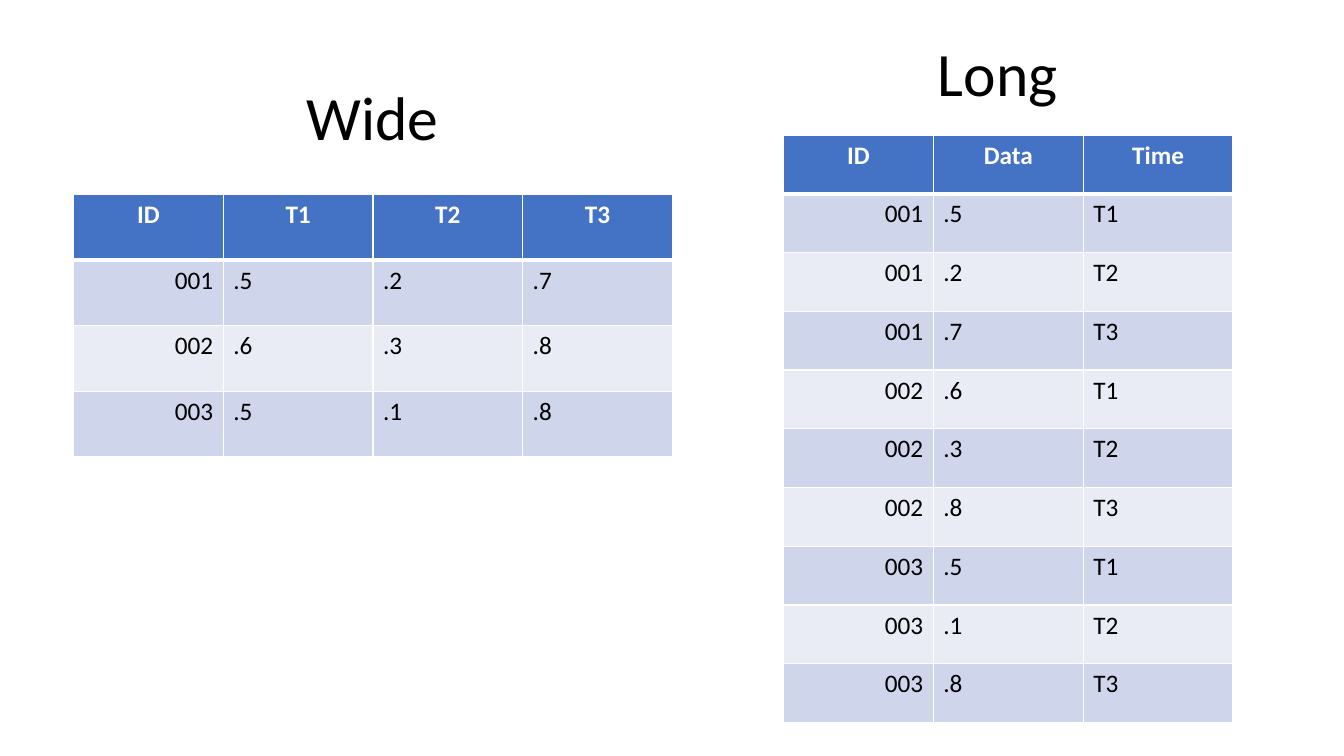
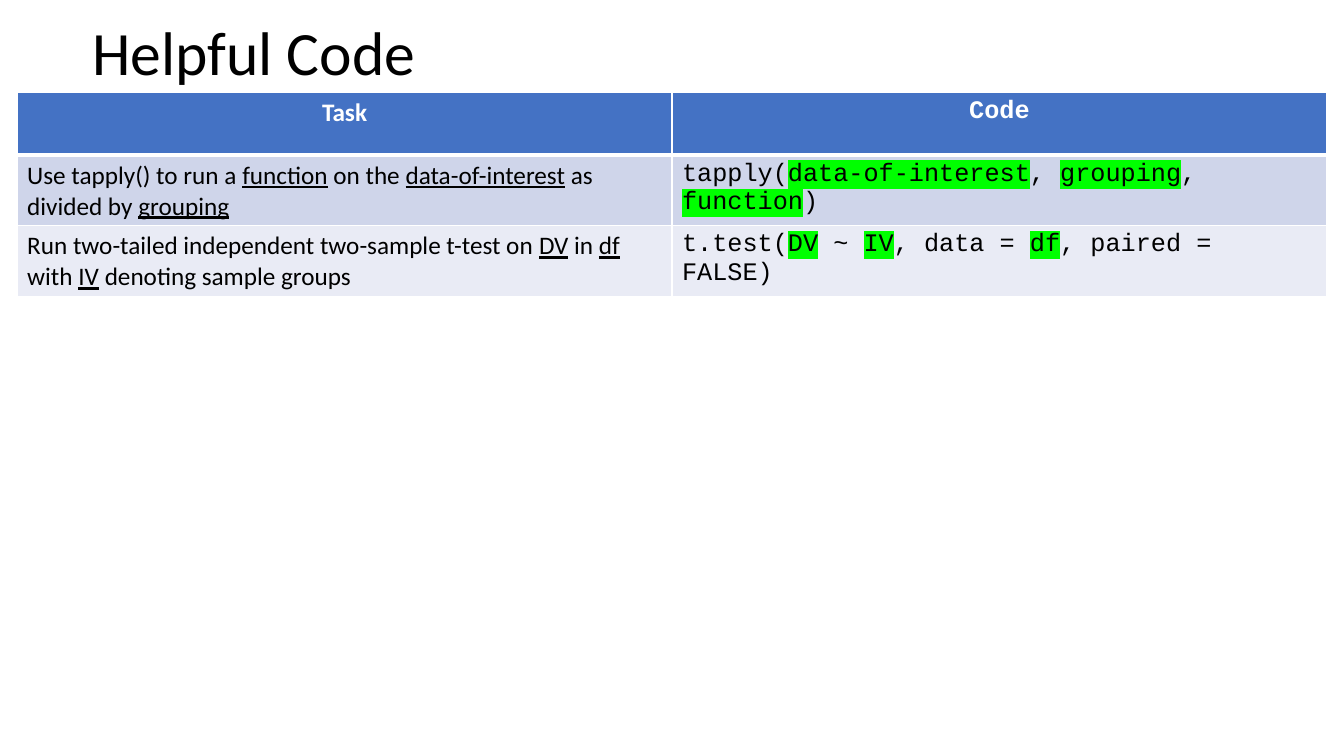
from dataclasses import dataclass

from lxml.etree import Element, SubElement
from pptx import Presentation
from pptx.dml.color import RGBColor as Rgb
from pptx.enum.text import MSO_ANCHOR as Anchor, PP_ALIGN as Align
from pptx.oxml.ns import qn
from pptx.util import Inches, Pt


@dataclass(frozen=True)
class Theme:
    """Colours, fonts and type sizes shared by the slides."""
    ink: str = "000000"
    paper: str = "FFFFFF"
    header: str = "4472C4"
    bands: tuple = ("CFD5EA", "E9EBF5")
    marker: str = "00FF00"
    body: str = "Calibri"
    mono: str = "Courier New"
    title_size: int = 44
    table_size: int = 18
    thin: int = 1
    thick: int = 3


THEME = Theme()


@dataclass(frozen=True)
class Column:
    """Heading and text format of one table column."""
    heading: str
    align: Align = Align.LEFT
    font: str = THEME.body
    highlight: bool = False


def apply_format(target, values):
    """Set each named attribute of the target."""
    for name, value in values.items():
        setattr(target, name, value)


def add_span(para, text, color, values):
    """Add one coloured run with the given font values."""
    span = para.add_run()
    span.text = text
    apply_format(span.font, values)
    span.font.color.rgb = Rgb.from_string(color)
    return span


def highlight_span(span):
    """Put the marker colour behind a run."""
    highlight = Element(qn("a:highlight"))
    SubElement(highlight, qn("a:srgbClr"), val=THEME.marker)
    span._r.get_or_add_rPr().find(qn("a:solidFill")).addnext(highlight)


def add_title(page, text, area, align=Align.LEFT):
    """Place a title in the given area."""
    box = page.shapes.add_textbox(*map(Inches, area))
    apply_format(box.text_frame, {"word_wrap": True, "vertical_anchor": Anchor.MIDDLE})
    para = box.text_frame.paragraphs[0]
    apply_format(para, {"alignment": align, "line_spacing": 0.9})
    add_span(para, text, THEME.ink, {"name": THEME.body, "size": Pt(THEME.title_size)})


def set_borders(cell, top, bottom):
    """Draw the four cell borders, with widths in points for top and bottom."""
    properties = cell._tc.get_or_add_tcPr()
    widths = {"a:lnL": THEME.thin, "a:lnR": THEME.thin, "a:lnT": top, "a:lnB": bottom}
    for index, (tag, width) in enumerate(widths.items()):
        line = Element(qn(tag), w=str(Pt(width)))
        fill = SubElement(line, qn("a:solidFill"))
        SubElement(fill, qn("a:srgbClr"), val=THEME.paper)
        properties.insert(index, line)


def fill_cell(cell, text, column, row):
    """Write and colour a cell; text between asterisks is marked."""
    is_header = row == 0
    cell.fill.solid()
    fill = THEME.header if is_header else THEME.bands[(row - 1) % 2]
    cell.fill.fore_color.rgb = Rgb.from_string(fill)
    set_borders(cell, THEME.thick if row == 1 else THEME.thin,
                THEME.thick if is_header else THEME.thin)
    para = cell.text_frame.paragraphs[0]
    para.alignment = Align.CENTER if is_header else column.align
    color = THEME.paper if is_header else THEME.ink
    for index, part in enumerate(text.split("*")):
        if not part:
            continue
        marked = index % 2 == 1
        values = {"name": column.font, "size": Pt(THEME.table_size), "bold": is_header,
                  "underline": marked and not column.highlight}
        span = add_span(para, part, color, values)
        if marked and column.highlight:
            highlight_span(span)


def add_grid(page, columns, records, area):
    """Place a banded table with equal columns and rows in the given area."""
    rows = [[column.heading for column in columns], *records]
    frame = page.shapes.add_table(len(rows), len(columns), *map(Inches, area))
    for row, texts in enumerate(rows):
        for index, (column, text) in enumerate(zip(columns, texts)):
            fill_cell(frame.table.cell(row, index), text, column, row)


def build_formats_slide(page):
    """Show the same data as a wide and as a long table."""
    times = ["T1", "T2", "T3"]
    wide = [["001", ".5", ".2", ".7"], ["002", ".6", ".3", ".8"], ["003", ".5", ".1", ".8"]]
    long = [[key, value, time] for key, *values in wide for value, time in zip(values, times)]
    identifier = Column("ID", Align.RIGHT)
    add_title(page, "Wide", (2.63, 0.47, 2.13, 1.45), Align.CENTER)
    add_grid(page, [identifier, *map(Column, times)], wide, (0.73, 1.93, 5.94, 2.6))
    add_title(page, "Long", (8.76, 0.03, 2.27, 1.45), Align.CENTER)
    add_grid(page, [identifier, Column("Data"), Column("Time")], long, (7.77, 1.34, 4.46, 5.83))


def build_code_slide(page):
    """Pair each task with the code that performs it."""
    columns = [Column("Task"), Column("Code", font=THEME.mono, highlight=True)]
    records = [
        ["Use tapply() to run a *function* on the *data-of-interest* as divided by *grouping*",
         "tapply(*data-of-interest*, *grouping*, *function*)"],
        ["Run two-tailed independent two-sample t-test on *DV* in *df* "
         "with *IV* denoting sample groups",
         "t.test(*DV* ~ *IV*, data = *df*, paired = FALSE)"],
    ]
    add_title(page, "Helpful Code", (0.82, 0, 11.5, 1.1))
    add_grid(page, columns, records, (0.17, 0.92, 12.99, 1.86))


def main():
    """Build and save the deck."""
    deck = Presentation()
    apply_format(deck, {"slide_width": Inches(13.33), "slide_height": Inches(7.5)})
    for build in (build_formats_slide, build_code_slide):
        build(deck.slides.add_slide(deck.slide_layouts[6]))
    deck.save("out.pptx")


if __name__ == "__main__":
    main()
